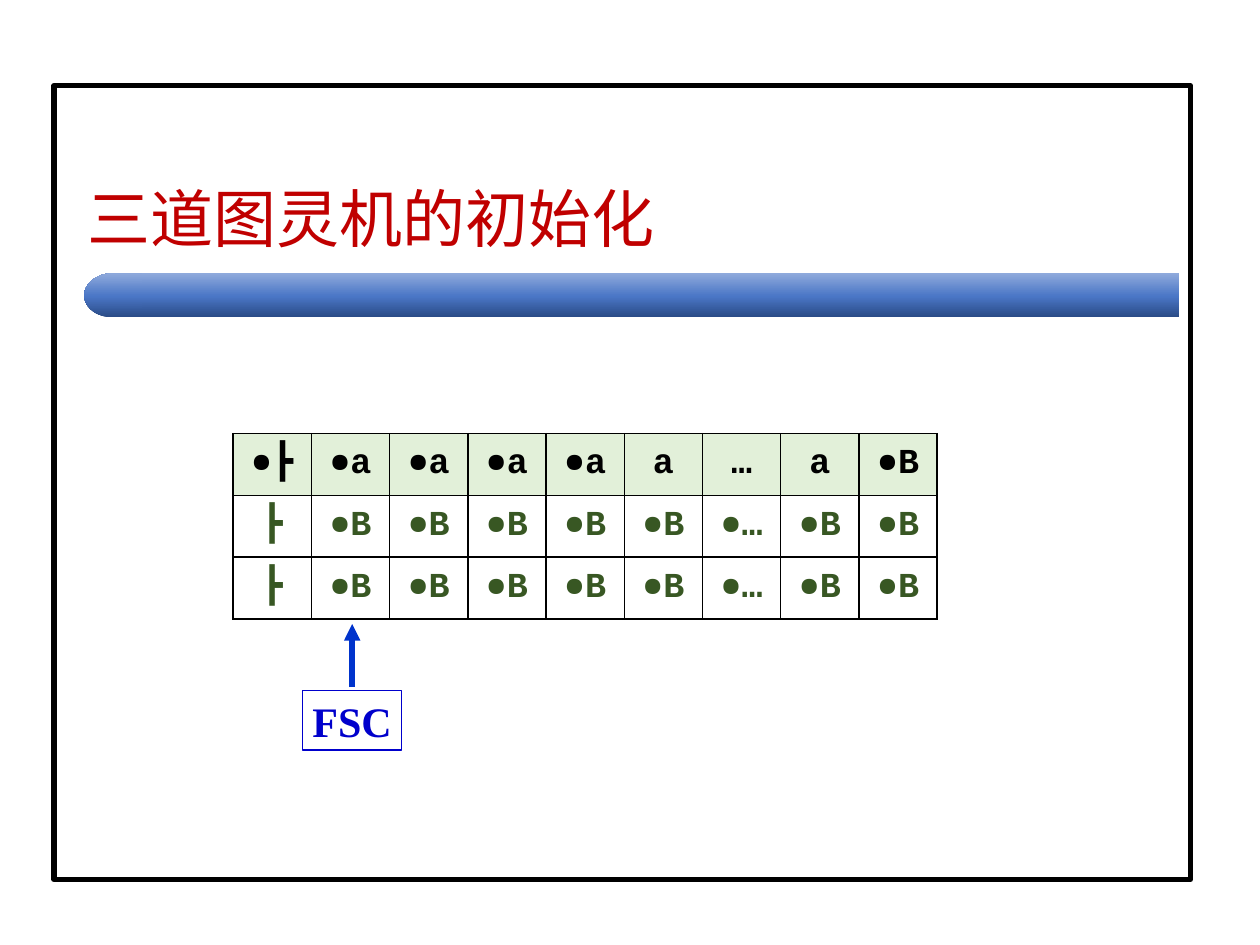
from copy import deepcopy
from dataclasses import dataclass

from lxml.etree import SubElement
from pptx import Presentation
from pptx.dml.color import RGBColor as Rgb
from pptx.enum.shapes import MSO_CONNECTOR as Connector, MSO_SHAPE as Shape
from pptx.enum.text import MSO_ANCHOR as Anchor, PP_ALIGN as Align
from pptx.oxml.ns import qn
from pptx.util import Cm, Pt


@dataclass(frozen=True)
class Theme:
    """Colours, fonts and type sizes of the slide."""
    black: str = "000000"
    white: str = "FFFFFF"
    title: str = "C00000"
    input_track: str = "E2F0D9"
    blank_text: str = "385723"
    control: str = "0000CC"
    arrow: str = "0033CC"
    bar: tuple = ((0, "2A4B86"), (0.48, "4A76C6"), (1, "8FAADC"))
    serif: str = "Times New Roman"
    mono: str = "Courier New"
    title_size: int = 36
    cell_size: int = 20
    control_size: int = 24


THEME = Theme()
TRACKS = (
    ("●┣", "●a", "●a", "●a", "●a", "a", "…", "a", "●B"),
    *[("┣", *["●B"] * 5, "●…", "●B", "●B")] * 2,
)


def style_font(font, color, **formats):
    """Apply a colour and other format values to a font."""
    font.color.rgb = Rgb.from_string(color)
    for attribute, value in formats.items():
        setattr(font, attribute, value)


def style_frame(frame, **formats):
    """Apply format values to a text frame."""
    for attribute, value in formats.items():
        setattr(frame, attribute, value)


def add_plain_shape(slide, kind, left, top, width, height):
    """Add a shape without a shadow, measured in centimetres."""
    shape = slide.shapes.add_shape(kind, *map(Cm, (left, top, width, height)))
    shape.shadow.inherit = False
    return shape


def add_frame(slide, left, top, width, height):
    """Draw the heavy border around the content."""
    border = add_plain_shape(slide, Shape.RECTANGLE, left, top, width, height)
    border.fill.solid()
    border.fill.fore_color.rgb = Rgb.from_string(THEME.white)
    border.line.color.rgb = Rgb.from_string(THEME.black)
    border.line.width = Pt(3)


def fill_bar(shape):
    """Fill a part of the bar with its vertical gradient."""
    shape.line.fill.background()
    shape.fill.gradient()
    shape.fill.gradient_angle = 90
    stop_list = shape._element.spPr.find(f".//{qn('a:gsLst')}")
    stop_list.insert(1, deepcopy(stop_list[0]))
    for stop, (position, color) in zip(shape.fill.gradient_stops, THEME.bar):
        stop.position = position
        stop.color.rgb = Rgb.from_string(color)


def add_bar(slide, left, top, width, height):
    """Draw the bar with its rounded left end."""
    cap_width = 1.16
    body = add_plain_shape(slide, Shape.RECTANGLE, left + cap_width - 0.02, top,
                           width - cap_width + 0.02, height)
    cap = add_plain_shape(slide, Shape.FLOWCHART_DELAY, left, top, cap_width, height)
    cap._element.spPr.xfrm.set("flipH", "1")
    for part in (body, cap):
        fill_bar(part)


def add_title(slide, left, top, width, height):
    """Write the title at the bottom of its box."""
    title = slide.shapes.add_textbox(*map(Cm, (left, top, width, height))).text_frame
    style_frame(title, word_wrap=True, vertical_anchor=Anchor.BOTTOM)
    heading = title.paragraphs[0]
    heading.text = "三道图灵机的初始化"
    heading.line_spacing = 0.9
    style_font(heading.runs[0].font, THEME.title,
               size=Pt(THEME.title_size), name=THEME.serif)


def add_bullet(paragraph):
    """Give a paragraph a round bullet in its text colour."""
    properties = paragraph._p.get_or_add_pPr()
    properties.set("marL", "0")
    properties.set("indent", "0")
    SubElement(properties, qn("a:buClrTx"))
    SubElement(properties, qn("a:buSzPct"), val="75000")
    SubElement(properties, qn("a:buChar"), char="●")


def add_borders(cell):
    """Draw thin black lines on the four sides of a cell."""
    properties = cell._tc.get_or_add_tcPr()
    for side in ("lnL", "lnR", "lnT", "lnB"):
        line = SubElement(properties, qn(f"a:{side}"), w=str(Pt(1)))
        fill = SubElement(line, qn("a:solidFill"))
        SubElement(fill, qn("a:srgbClr"), val=THEME.black)


def fill_cell(cell, content, is_input):
    """Write one tape symbol, with a bullet where it is marked."""
    add_borders(cell)
    cell.vertical_anchor = Anchor.MIDDLE
    if is_input:
        cell.fill.solid()
        cell.fill.fore_color.rgb = Rgb.from_string(THEME.input_track)
    else:
        cell.fill.background()
    symbol = cell.text_frame.paragraphs[0]
    symbol.alignment = Align.CENTER
    if content.startswith("●"):
        add_bullet(symbol)
    run = symbol.add_run()
    run.text = content.removeprefix("●")
    style_font(run.font, THEME.black if is_input else THEME.blank_text,
               size=Pt(THEME.cell_size), name=THEME.mono, bold=True)


def add_tape(slide, left, top, width, height):
    """Build the table of three tracks."""
    rows, columns = len(TRACKS), len(TRACKS[0])
    tape = slide.shapes.add_table(
        rows, columns, *map(Cm, (left, top, width, height))).table
    tape.first_row = tape.horz_banding = False
    for column in tape.columns:
        column.width = Cm(width / columns)
    for row, track in enumerate(TRACKS):
        tape.rows[row].height = Cm(height / rows)
        for column, content in enumerate(track):
            fill_cell(tape.cell(row, column), content, row == 0)


def add_control(slide, left, top, width, height):
    """Draw the control box below the arrow to the tape."""
    box_height = 1.2
    box_top = top + height - box_height
    control = add_plain_shape(slide, Shape.RECTANGLE, left, box_top, width, box_height)
    control.fill.background()
    control.line.color.rgb = Rgb.from_string(THEME.control)
    control.line.width = Pt(0.75)
    style_frame(control.text_frame, word_wrap=False, vertical_anchor=Anchor.MIDDLE)
    label = control.text_frame.paragraphs[0]
    label.text = "FSC"
    label.alignment = Align.CENTER
    style_font(label.runs[0].font, THEME.control,
               size=Pt(THEME.control_size), name=THEME.serif, bold=True)

    center = left + width / 2
    arrow = slide.shapes.add_connector(
        Connector.STRAIGHT, *map(Cm, (center, box_top - 0.07, center, top)))
    arrow.line.color.rgb = Rgb.from_string(THEME.arrow)
    arrow.line.width = Pt(3.15)
    SubElement(arrow.line._get_or_add_ln(), qn("a:tailEnd"), type="triangle")
    SubElement(arrow._element.spPr, qn("a:effectLst"))


def main():
    """Build and save the slide."""
    deck = Presentation()
    deck.slide_width, deck.slide_height = Cm(25.4), Cm(19.05)
    slide = deck.slides.add_slide(deck.slide_layouts[6])
    add_frame(slide, 1.09, 1.73, 22.91, 16)
    add_bar(slide, 1.7, 5.51, 22.07, 0.89)
    add_title(slide, 1.52, 2.11, 22.23, 3.18)
    add_tape(slide, 4.7, 8.74, 14.2, 3.74)
    add_control(slide, 6.1, 12.58, 2, 2.54)
    deck.save("out.pptx")


if __name__ == "__main__":
    main()
